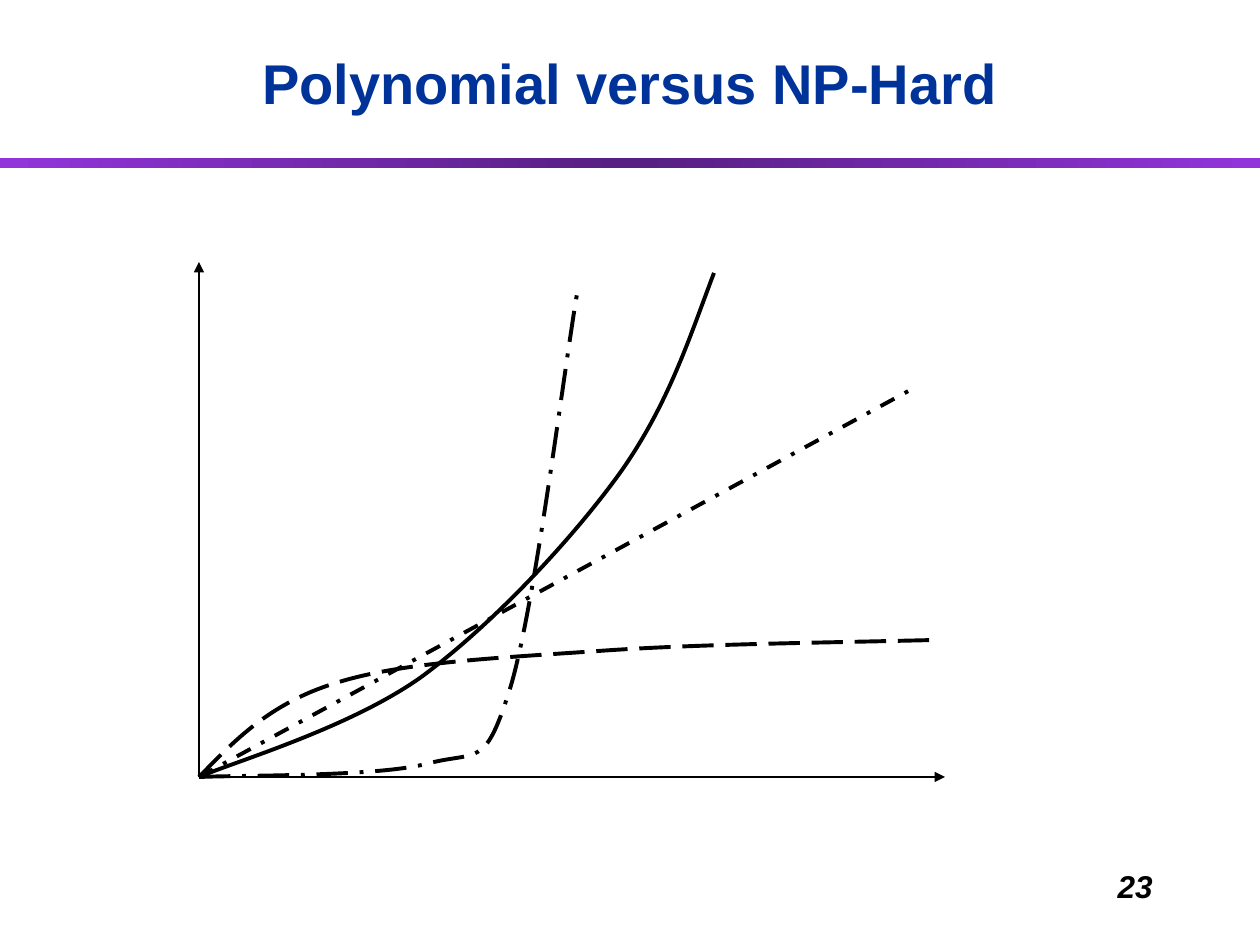
"""Builds a slide that plots polynomial growth curves against an exponential one."""
from copy import deepcopy

from lxml import etree
from pptx import Presentation
from pptx import util as u
from pptx.dml.color import RGBColor
from pptx.enum import dml, shapes, text
from pptx.oxml.ns import qn

TITLE = "Polynomial versus NP-Hard"
NUMBER = "23"
COLORS = {"ink": "000000", "title": "003399", "edge": "9234DB", "middle": "561F81"}
ORIGIN = (199, 777)
AXIS_ENDS = [(199, 262), (945, 777)]
LINEAR_END = (914, 388)
DASH = dml.MSO_LINE
CURVES = [
    (DASH.LONG_DASH, [(234, 741), (270, 703), (336, 683),
                      (402, 662), (499, 658), (599, 651),
                      (698, 644), (816, 643), (935, 640)]),
    (None, [(237, 761), (349, 728), (420, 678),
            (490, 627), (571, 541), (620, 473),
            (669, 404), (690, 336), (714, 273)]),
    (DASH.LONG_DASH_DOT, [(237, 775), (374, 777), (426, 764),
                          (478, 750), (484, 770), (509, 692),
                          (534, 614), (563, 377), (577, 294)]),
]
SCALE = 914400 / 126


def px(*values):
    return [u.Emu(round(v * SCALE)) for v in values]


def rgb(name):
    return RGBColor.from_string(COLORS[name])


def write(sp, content, size, color="ink", align=None, anchor=None, italic=False):
    tf = sp.text_frame
    tf.word_wrap = True
    tf.vertical_anchor = anchor
    p = tf.paragraphs[0]
    p.alignment = align
    r = p.add_run()
    r.text = content
    f = r.font
    f.name, f.size, f.bold, f.italic = "Arial", u.Pt(size), True, italic
    f.color.rgb = rgb(color)


def style_line(sp, width, dash=None):
    sp.line.color.rgb = rgb("ink")
    sp.line.width = u.Pt(width)
    if dash:
        sp.line.dash_style = dash


def add_line(s, end, width, dash=None, arrow=False):
    c = s.shapes.add_connector(shapes.MSO_CONNECTOR.STRAIGHT, *px(*ORIGIN, *end))
    style_line(c, width, dash)
    if arrow:
        etree.SubElement(c.line._get_or_add_ln(), qn("a:tailEnd"), type="triangle")
    etree.SubElement(c._element.spPr, qn("a:effectLst"))


def add_curve(s, points, dash):
    fb = s.shapes.build_freeform(*ORIGIN, scale=SCALE)
    fb.add_line_segments(points, close=False)
    sp = fb.convert_to_shape()
    sp.fill.background()
    sp.shadow.inherit = False
    style_line(sp, 2.25, dash)
    path = sp._element.find(".//" + qn("a:path"))
    steps = path.findall(qn("a:lnTo"))
    for i in range(0, len(steps), 3):
        bezier = etree.SubElement(path, qn("a:cubicBezTo"))
        for step in steps[i:i + 3]:
            bezier.append(step[0])
            path.remove(step)


def add_band(s):
    sp = s.shapes.add_shape(shapes.MSO_SHAPE.RECTANGLE, *px(0, 158, 1260, 10))
    sp.shadow.inherit = False
    sp.line.fill.background()
    sp.fill.gradient()
    sp.fill.gradient_angle = 0
    stops = sp._element.find(".//" + qn("a:gsLst"))
    stops.insert(1, deepcopy(stops[0]))
    for stop, pos, name in zip(sp.fill.gradient_stops, (0, 0.5, 1), ("edge", "middle", "edge")):
        stop.position = pos
        stop.color.rgb = rgb(name)


def main():
    prs = Presentation()
    prs.slide_width, prs.slide_height = px(1260, 945)
    s = prs.slides.add_slide(prs.slide_layouts[5])
    add_band(s)

    title = s.shapes.title
    title.left, title.top, title.width, title.height = px(63, 20, 1134, 102)
    write(title, TITLE, 32, color="title", align=text.PP_ALIGN.CENTER,
          anchor=text.MSO_ANCHOR.BOTTOM)
    number = s.shapes.add_textbox(*px(903, 861, 262, 63))
    write(number, NUMBER, 18, align=text.PP_ALIGN.RIGHT,
          anchor=text.MSO_ANCHOR.TOP, italic=True)

    for end in AXIS_ENDS:
        add_line(s, end, 0.75, arrow=True)
    for dash, points in CURVES:
        add_curve(s, points, dash)
    add_line(s, LINEAR_END, 2.25, DASH.DASH_DOT)
    prs.save("out.pptx")


if __name__ == "__main__":
    main()
